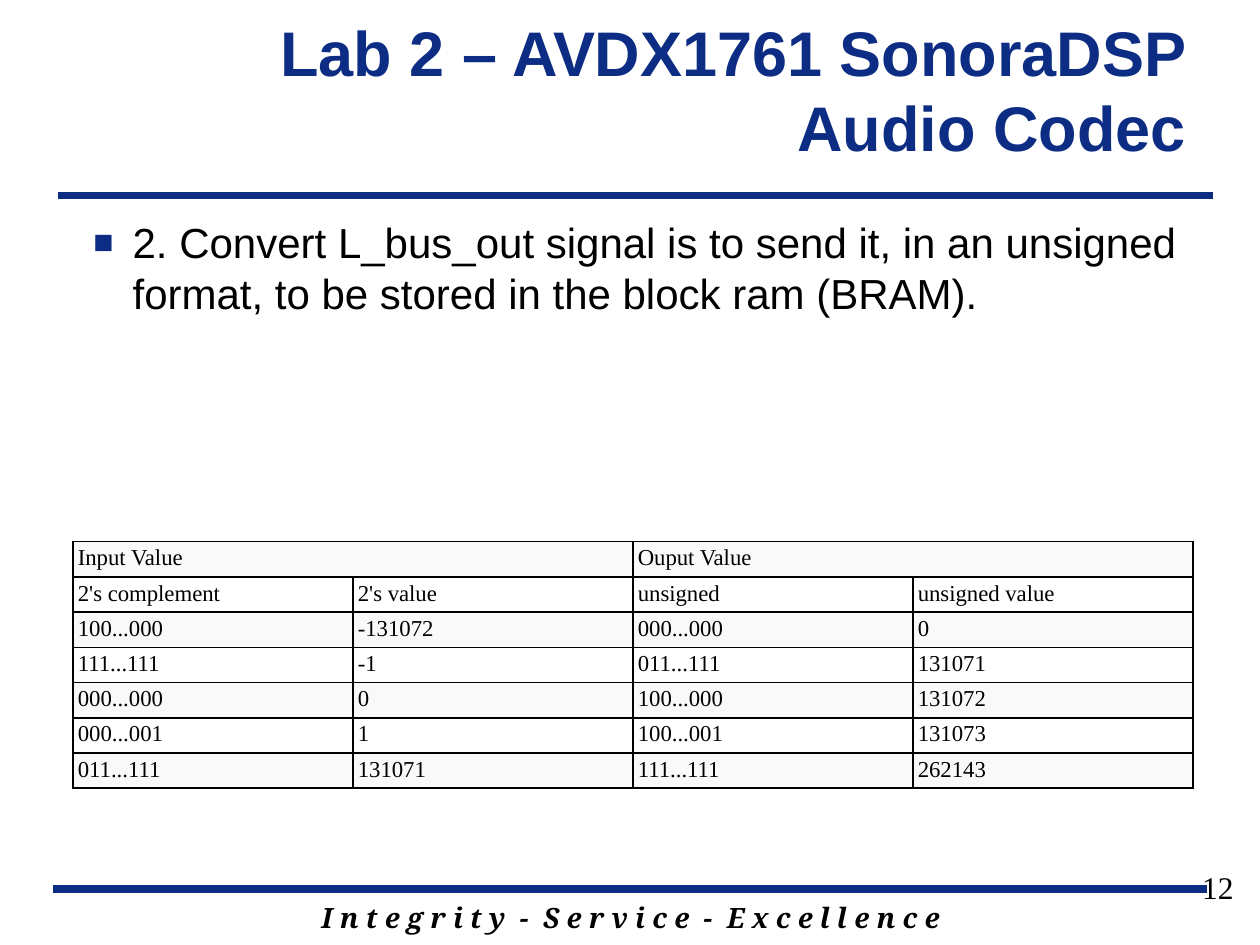
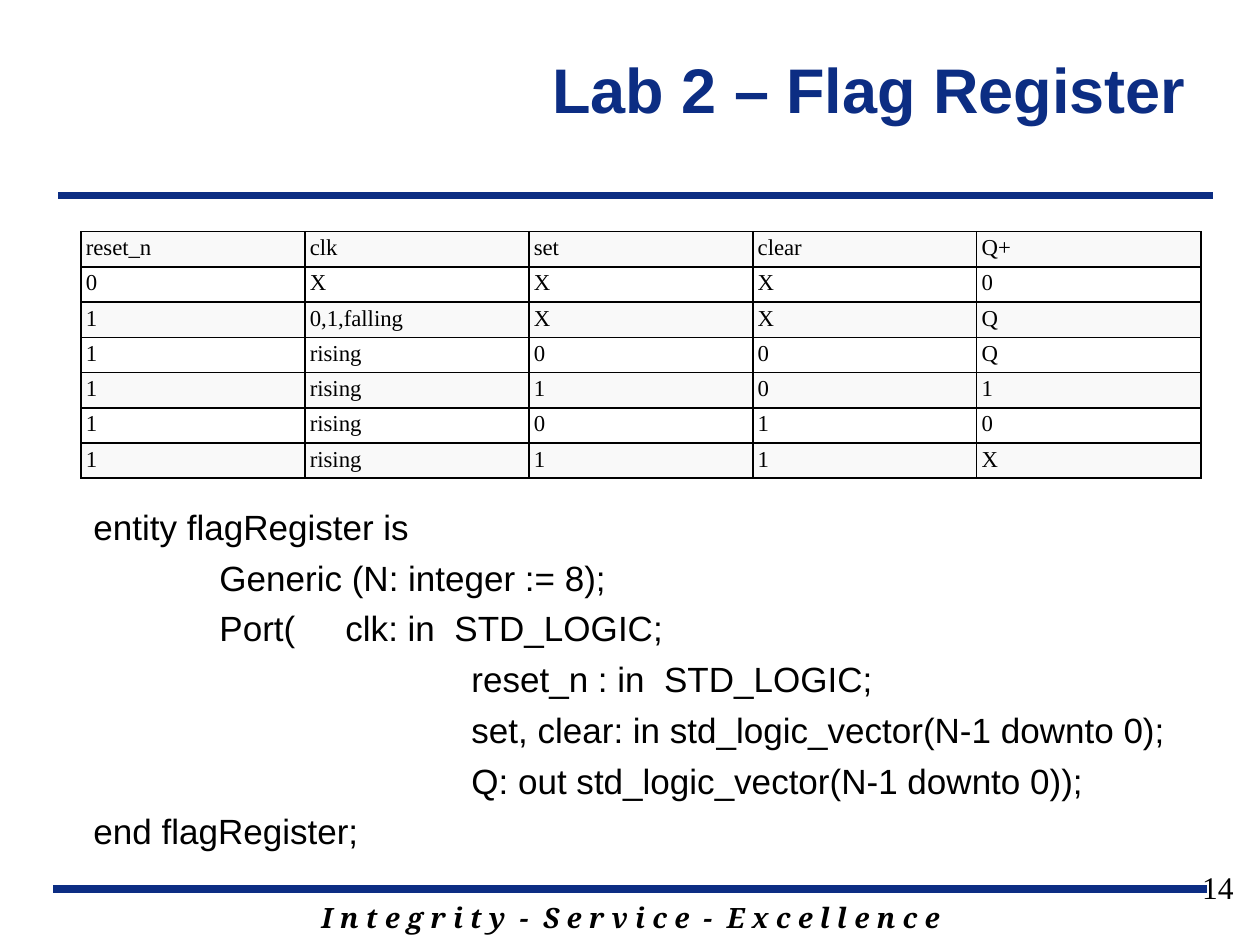
from dataclasses import dataclass

from lxml.etree import SubElement
from pptx import Presentation
from pptx.dml.color import RGBColor
from pptx.enum.shapes import MSO_CONNECTOR
from pptx.enum.text import MSO_ANCHOR, MSO_AUTO_SIZE, PP_ALIGN
from pptx.oxml.ns import qn
from pptx.util import Cm, Pt


@dataclass(frozen=True)
class Theme:
    """Colours, fonts, type sizes and line widths of the deck."""
    navy: str = "0C2D83"
    black: str = "000000"
    white: str = "FFFFFF"
    stripe: str = "F9F9F9"
    sans: str = "Arial"
    serif: str = "Times New Roman"
    motto: str = "Noto Serif"
    title_size: float = 36
    bullet_size: float = 24
    code_size: float = 20
    number_size: float = 18
    motto_size: float = 16
    cell_size: float = 13
    rule_width: float = 4.5
    border_width: float = 1


THEME = Theme()

# Content: None in a table row joins the cell to the one on its left.
MOTTO = "I n t e g r i t y  -  S e r v i c e  -  E x c e l l e n c e"

CODEC = {
    "title": "Lab 2 – AVDX1761 SonoraDSP Audio Codec",
    "number": "12",
    "bullet": "2. Convert L_bus_out signal is to send it, in an unsigned "
              "format, to be stored in the block ram (BRAM).",
    "table": [
        ("Input Value", None, "Ouput Value", None),
        ("2's complement", "2's value", "unsigned", "unsigned value"),
        ("100...000", "-131072", "000...000", "0"),
        ("111...111", "-1", "011...111", "131071"),
        ("000...000", "0", "100...000", "131072"),
        ("000...001", "1", "100...001", "131073"),
        ("011...111", "131071", "111...111", "262143"),
    ],
}

FLAG_REGISTER = {
    "title": "Lab 2 – Flag Register",
    "number": "14",
    "table": [
        ("reset_n", "clk", "set", "clear", "Q+"),
        ("0", "X", "X", "X", "0"),
        ("1", "0,1,falling", "X", "X", "Q"),
        ("1", "rising", "0", "0", "Q"),
        ("1", "rising", "1", "0", "1"),
        ("1", "rising", "0", "1", "0"),
        ("1", "rising", "1", "1", "X"),
    ],
    "code": [  # (indent steps, line)
        (0, "entity flagRegister is"),
        (1, "Generic (N: integer := 8);"),
        (1, "Port(\tclk: in  STD_LOGIC;"),
        (3, "reset_n : in  STD_LOGIC;"),
        (3, "set, clear: in std_logic_vector(N-1 downto 0);"),
        (3, "Q: out std_logic_vector(N-1 downto 0));"),
        (0, "end flagRegister;"),
    ],
}

# Layout in centimetres: rules are (left, right, y), boxes left, top, width, height.
RULES = [(1.07, 24.33, 17.93), (1.17, 24.46, 3.94)]
MOTTO_BOX = (3.61, 18.03, 18.21, 0.94)
TITLE_BOX = (5.31, 0.2, 18.85, 3.18)
NUMBER_BOX = (19.2, 17.37, 5.92, 1.32)
BULLET_BOX = (1.63, 4.24, 22.58, 12.01)
CODE_BOX = (1.63, 10.06, 22.58, 7.2)
TABLE_WIDTH, ROW_HEIGHT = 22.58, 0.71
INDENT_STEP, BULLET_INDENT = 2.54, 0.79


def rgb(colour):
    """Turn a hex string into a colour."""
    return RGBColor.from_string(colour)


def write(paragraph, text, font, size, colour=THEME.black, bold=False, italic=False):
    """Add one formatted run to a paragraph."""
    run = paragraph.add_run()
    run.text = text
    run.font.name, run.font.size = font, Pt(size)
    run.font.bold, run.font.italic = bold, italic
    run.font.color.rgb = rgb(colour)


def place(shape, box):
    """Move a shape to a box and return its wrapped text frame."""
    shape.left, shape.top, shape.width, shape.height = map(Cm, box)
    frame = shape.text_frame
    frame.word_wrap, frame.auto_size = True, MSO_AUTO_SIZE.NONE
    return frame


def add_label(slide, box, align, text, *style, **emphasis):
    """Add a one-line text box and return it."""
    label = slide.shapes.add_textbox(*map(Cm, box))
    line = place(label, box).paragraphs[0]
    line.alignment = align
    write(line, text, *style, **emphasis)
    return label


def add_rule(slide, left, right, y):
    """Add a thick horizontal rule and return it."""
    rule = slide.shapes.add_connector(
        MSO_CONNECTOR.STRAIGHT, Cm(left), Cm(y), Cm(right), Cm(y))
    rule.line.color.rgb = rgb(THEME.navy)
    rule.line.width = Pt(THEME.rule_width)
    SubElement(rule.element.spPr, qn("a:effectLst"))
    return rule


def furnish(layout, slide):
    """Draw rules and motto, then hand them to the layout all slides share."""
    shared = [add_rule(slide, *rule) for rule in RULES]
    shared.append(add_label(slide, MOTTO_BOX, PP_ALIGN.CENTER, MOTTO, THEME.motto,
                            THEME.motto_size, bold=True, italic=True))
    for part in shared:
        layout.shapes.element.append(part.element)


def set_heading(slide, content):
    """Fill the title and the slide number."""
    frame = place(slide.shapes.title, TITLE_BOX)
    frame.vertical_anchor = MSO_ANCHOR.MIDDLE
    line = frame.paragraphs[0]
    line.alignment = PP_ALIGN.RIGHT
    write(line, content["title"], THEME.sans, THEME.title_size, THEME.navy, bold=True)
    add_label(slide, NUMBER_BOX, PP_ALIGN.RIGHT, content["number"],
              THEME.serif, THEME.number_size)


def indent(paragraph, margin, first=0):
    """Set the left margin and first-line indent; return the properties."""
    properties = paragraph._p.get_or_add_pPr()
    properties.set("marL", str(Cm(margin)))
    properties.set("indent", str(Cm(first)))
    paragraph.space_before = Pt(5)
    return properties


def set_bullet(slide, text):
    """Fill the body with one square-bulleted paragraph."""
    line = place(slide.placeholders[1], BULLET_BOX).paragraphs[0]
    properties = indent(line, BULLET_INDENT, -BULLET_INDENT)
    SubElement(SubElement(properties, qn("a:buClr")), qn("a:srgbClr"), val=THEME.navy)
    SubElement(properties, qn("a:buSzPct"), val="80000")
    SubElement(properties, qn("a:buChar"), char="■")
    write(line, text, THEME.sans, THEME.bullet_size)


def set_code(slide, lines):
    """Fill the body with indented, unbulleted code lines."""
    frame = place(slide.placeholders[1], CODE_BOX)
    for number, (steps, text) in enumerate(lines):
        line = frame.add_paragraph() if number else frame.paragraphs[0]
        SubElement(indent(line, steps * INDENT_STEP), qn("a:buNone"))
        write(line, text, THEME.sans, THEME.code_size)


def style_cell(cell, fill):
    """Give a cell its thin margins, black borders and fill."""
    cell.margin_left = cell.margin_right = Cm(0.1)
    cell.margin_top = cell.margin_bottom = Cm(0.08)
    properties = cell._tc.get_or_add_tcPr()
    for side in ("lnL", "lnR", "lnT", "lnB"):
        border = SubElement(properties, qn(f"a:{side}"), w=str(Pt(THEME.border_width)))
        SubElement(SubElement(border, qn("a:solidFill")), qn("a:srgbClr"), val=THEME.black)
    cell.fill.solid()
    cell.fill.fore_color.rgb = rgb(fill)


def add_grid(slide, rows, left, top):
    """Add a striped table with equal columns."""
    columns = len(rows[0])
    table = slide.shapes.add_table(len(rows), columns, Cm(left), Cm(top),
                                   Cm(TABLE_WIDTH), Cm(ROW_HEIGHT * len(rows))).table
    table.first_row = table.horz_banding = False
    for r, row in enumerate(rows):
        table.rows[r].height = Cm(ROW_HEIGHT)
        for c, text in enumerate(row):
            cell = table.cell(r, c)
            style_cell(cell, THEME.white if r % 2 else THEME.stripe)
            if text is None:
                table.cell(r, c - 1).merge(cell)
            else:
                write(cell.text_frame.paragraphs[0], text, THEME.serif, THEME.cell_size)


def main():
    """Build both slides and save the deck."""
    deck = Presentation()
    deck.slide_width, deck.slide_height = Cm(25.4), Cm(19.05)
    layout = deck.slide_layouts[1]

    codec = deck.slides.add_slide(layout)
    furnish(layout, codec)
    set_heading(codec, CODEC)
    add_grid(codec, CODEC["table"], 1.47, 10.92)
    set_bullet(codec, CODEC["bullet"])

    flags = deck.slides.add_slide(layout)
    set_heading(flags, FLAG_REGISTER)
    set_code(flags, FLAG_REGISTER["code"])
    add_grid(flags, FLAG_REGISTER["table"], 1.63, 4.67)

    deck.save("out.pptx")


main()
